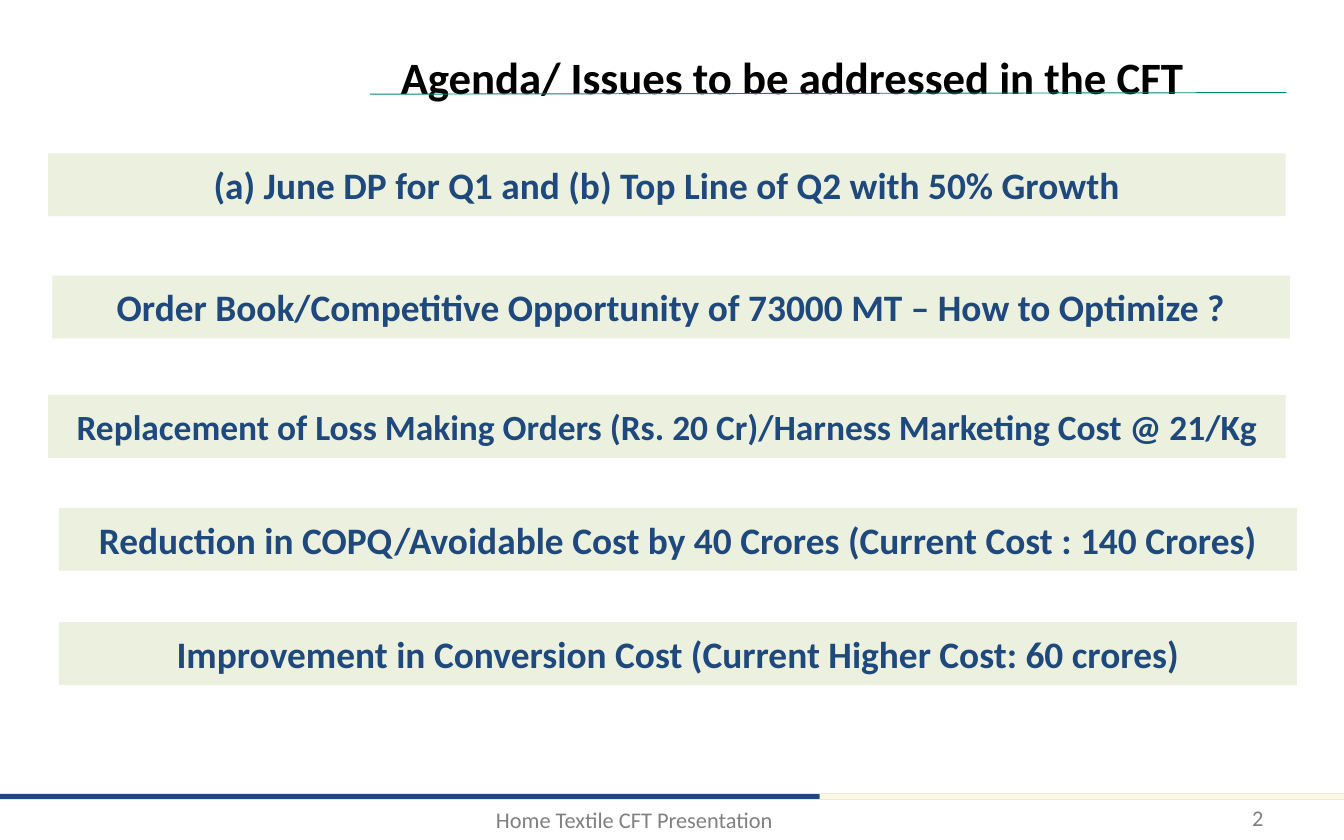
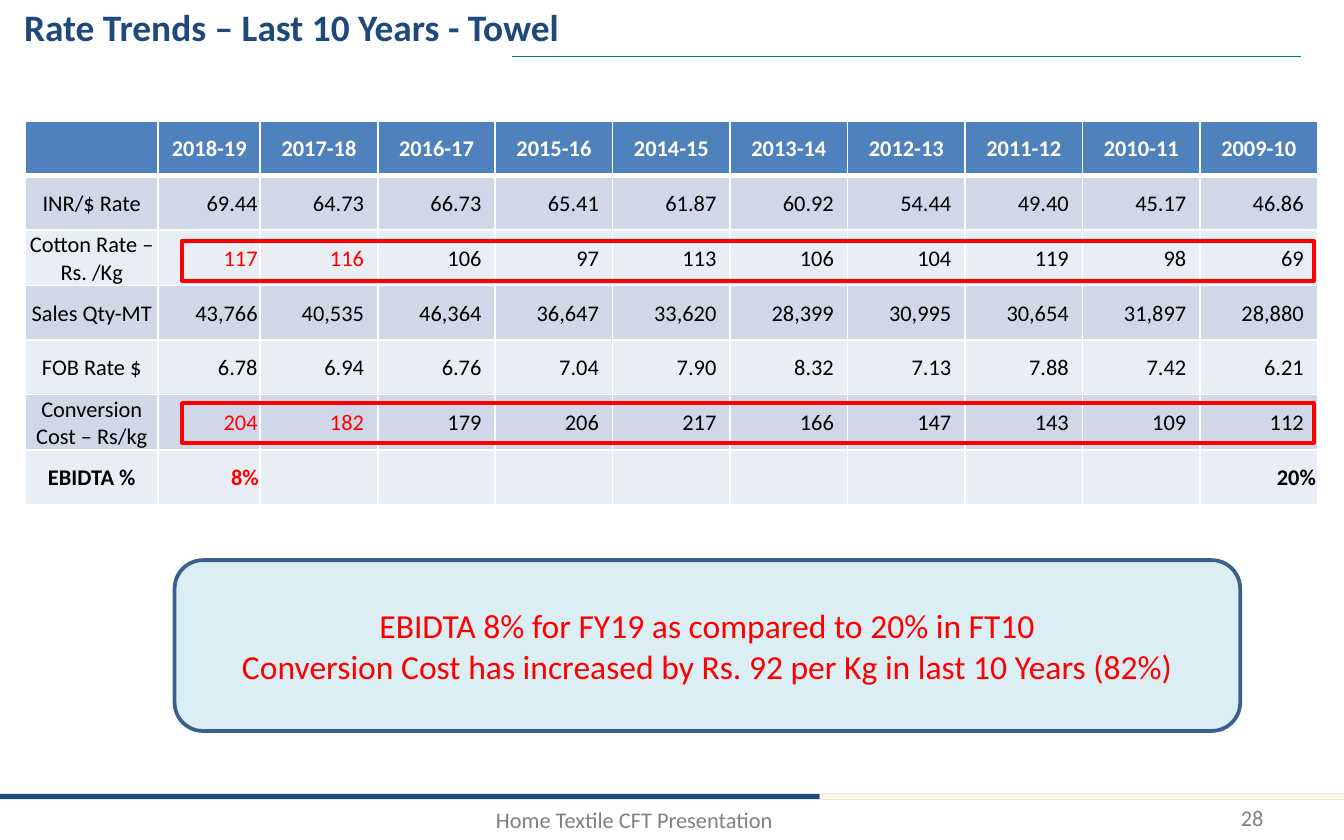
"""Build two slides of a home textile review: agenda and towel rate trends."""
from lxml import etree
from pptx import Presentation
from pptx.dml.color import RGBColor
from pptx.enum import shapes, text
from pptx.oxml import ns
from pptx.util import Cm, Pt

FONT = "Calibri"
NAVY = RGBColor(0x1F, 0x49, 0x7D)
CREAM = RGBColor(0xFF, 0xF7, 0xE1)
GRAY = RGBColor(0x80, 0x80, 0x80)
TEAL = RGBColor(0x00, 0x85, 0x76)
GREEN = RGBColor(0xEB, 0xF1, 0xDE)
BLACK = RGBColor(0, 0, 0)
WHITE = RGBColor(0xFF, 0xFF, 0xFF)
RED = RGBColor(0xFF, 0, 0)
BLUE = RGBColor(0x4F, 0x81, 0xBD)
DARK = RGBColor(0xD0, 0xD8, 0xE8)
LIGHT = RGBColor(0xE9, 0xED, 0xF4)
AQUA = RGBColor(0xDB, 0xEE, 0xF4)
EDGE = RGBColor(0x3A, 0x5F, 0x8C)

LEFT, CENTER, RIGHT = text.PP_ALIGN.LEFT, text.PP_ALIGN.CENTER, text.PP_ALIGN.RIGHT
TOP, MIDDLE = text.MSO_ANCHOR.TOP, text.MSO_ANCHOR.MIDDLE
RECT = shapes.MSO_SHAPE.RECTANGLE
ROUND = shapes.MSO_SHAPE.ROUNDED_RECTANGLE

AGENDA = [
    (0.91, 2.9, 20, "(a) June DP for Q1 and (b) Top Line of Q2 with 50% Growth"),
    (0.99, 5.21, 20, "Order Book/Competitive Opportunity of 73000 MT – How to Optimize ?"),
    (0.91, 7.47, 19, "Replacement of Loss Making Orders (Rs. 20 Cr)/Harness Marketing Cost @ 21/Kg"),
    (1.12, 9.6, 20, "Reduction in COPQ/Avoidable Cost by 40 Crores (Current Cost : 140 Crores)"),
    (1.12, 11.76, 20, "Improvement in Conversion Cost (Current Higher Cost: 60 crores)"),
]

RATES = [
    ["", *(f"20{y:02}-{y + 1:02}" for y in range(18, 8, -1))],
    ["INR/$ Rate", "69.44", "64.73", "66.73", "65.41", "61.87",
     "60.92", "54.44", "49.40", "45.17", "46.86"],
    ["Cotton Rate – Rs. /Kg", "117", "116", "106", "97", "113",
     "106", "104", "119", "98", "69"],
    ["Sales Qty-MT", "43,766", "40,535", "46,364", "36,647", "33,620",
     "28,399", "30,995", "30,654", "31,897", "28,880"],
    ["FOB Rate $", "6.78", "6.94", "6.76", "7.04", "7.90",
     "8.32", "7.13", "7.88", "7.42", "6.21"],
    ["Conversion Cost – Rs/kg", "204", "182", "179", "206", "217",
     "166", "147", "143", "109", "112"],
    ["EBIDTA %", "8%", *[""] * 8, "20%"],
]
ALERTS = {(2, 1), (2, 2), (5, 1), (5, 2), (6, 1)}


def write(frame, words, size=12, color=BLACK, bold=False, align=LEFT, anchor=TOP):
    """Fill a text frame with formatted lines."""
    frame.text = words
    frame.word_wrap = True
    frame.vertical_anchor = anchor
    for para in frame.paragraphs:
        para.alignment = align
        for run in para.runs:
            font = run.font
            font.name, font.size, font.bold = FONT, Pt(size), bold
            font.color.rgb = color


def place(shape, x, y, w, h):
    """Move and size a shape in centimetres."""
    shape.left, shape.top, shape.width, shape.height = map(Cm, (x, y, w, h))


def add_box(slide, x, y, w, h, fill=None, line=None, kind=RECT):
    """Add a flat preset shape."""
    box = slide.shapes.add_shape(kind, Cm(x), Cm(y), Cm(w), Cm(h))
    box.shadow.inherit = False
    if fill is None:
        box.fill.background()
    else:
        box.fill.solid()
        box.fill.fore_color.rgb = fill
    if line is None:
        box.line.fill.background()
    else:
        box.line.color.rgb = line
        box.line.width = Pt(2)
    return box


def add_label(slide, words, x, y, w, h, **style):
    """Add a text box."""
    label = slide.shapes.add_textbox(Cm(x), Cm(y), Cm(w), Cm(h))
    write(label.text_frame, words, **style)


def add_rule(slide, x1, y1, x2, y2):
    """Add the thin teal line by the title."""
    rule = slide.shapes.add_connector(
        shapes.MSO_CONNECTOR.STRAIGHT, Cm(x1), Cm(y1), Cm(x2), Cm(y2))
    rule.line.color.rgb = TEAL
    rule.line.width = Pt(0.5)
    etree.SubElement(rule._element.spPr, ns.qn("a:effectLst"))


def set_edges(cell, **widths):
    """Draw white cell borders, given in points by side."""
    props = cell._tc.get_or_add_tcPr()
    for side in "LRTB":
        edge = etree.SubElement(
            props, ns.qn(f"a:ln{side}"), w=str(Pt(widths.get(side, 1))))
        fill = etree.SubElement(edge, ns.qn("a:solidFill"))
        etree.SubElement(fill, ns.qn("a:srgbClr"), val=str(WHITE))


def start_slide(deck, title, page, spot, **style):
    """Add a slide with its title, footer bands and page number."""
    slide = deck.slides.add_slide(deck.slide_layouts[5])
    head = slide.shapes.title
    place(head, *spot)
    write(head.text_frame, title, bold=True, **style)
    head.text_frame.auto_size = text.MSO_AUTO_SIZE.NONE
    add_box(slide, 0, 15.01, 25.4, 0.1, NAVY)
    add_box(slide, 15.49, 15.01, 9.91, 0.1, CREAM)
    add_label(slide, "Home Textile CFT Presentation", 3.2, 15.11, 17.58, 0.69,
              color=GRAY, align=CENTER)
    add_label(slide, page, 18.21, 15.14, 5.92, 0.64,
              color=GRAY, align=RIGHT, anchor=MIDDLE)
    return slide


def style_cell(cell, words, row, col):
    """Format one cell of the rate table by its row and column."""
    head, total = row == 0, row == len(RATES) - 1
    set_edges(cell, T=3 if row == 1 else 1, B=3 if head else 1)
    cell.fill.solid()
    cell.fill.fore_color.rgb = BLUE if head else DARK if row % 2 else LIGHT
    cell.margin_left = cell.margin_top = cell.margin_right = Cm(0.03)
    cell.margin_bottom = 0
    if not (head or total) and col:
        cell.margin_right = Cm(0.05 if col == 1 else 0.26)
    color = WHITE if head else RED if (row, col) in ALERTS else BLACK
    write(cell.text_frame, words, color=color, bold=head or total,
          align=CENTER if head or col == 0 else RIGHT)
    cell.vertical_anchor = MIDDLE


def add_rates(slide):
    """Add the table of rates by year."""
    grid = slide.shapes.add_table(
        len(RATES), len(RATES[0]), Cm(0.48), Cm(2.29), Cm(24.42), Cm(7.21)).table
    for col, column in enumerate(grid.columns):
        column.width = Cm({0: 2.51, 1: 1.93}.get(col, 2.22))
    for row, values in enumerate(RATES):
        grid.rows[row].height = Cm(1.03)
        for col, words in enumerate(values):
            style_cell(grid.cell(row, col), words, row, col)


def build_agenda(deck):
    """Build the agenda slide."""
    slide = start_slide(deck, "Agenda/ Issues to be addressed in the CFT", "2",
                        (7.32, 0.81, 15.47, 1.27), size=24)
    add_rule(slide, 6.99, 1.78, 24.31, 1.75)
    for x, y, size, words in AGENDA:
        band = add_box(slide, x, y, 23.39, 1.19, GREEN)
        write(band.text_frame, words, size=size, color=NAVY, bold=True,
              align=CENTER, anchor=MIDDLE)


def build_trends(deck):
    """Build the rate trends slide."""
    slide = start_slide(deck, "Rate Trends – Last 10 Years - Towel", "28",
                        (0.2, -0.05, 23.62, 1.19), size=20, color=NAVY)
    add_rule(slide, 9.68, 1.07, 24.59, 1.07)
    add_rates(slide)
    for y in (4.55, 7.62):
        add_box(slide, 3.44, y, 21.39, 0.76, line=RED)
    note = add_box(slide, 3.3, 10.59, 20.14, 3.23, AQUA, EDGE, ROUND)
    write(note.text_frame,
          "EBIDTA 8% for FY19 as compared to 20% in FT10\n"
          "Conversion Cost has increased by Rs. 92 per Kg in last 10 Years (82%)",
          size=18, color=RED, align=CENTER, anchor=MIDDLE)


def main():
    """Build and save the deck."""
    deck = Presentation()
    deck.slide_width, deck.slide_height = Cm(25.4), Cm(15.88)
    build_agenda(deck)
    build_trends(deck)
    deck.save("out.pptx")


if __name__ == "__main__":
    main()
